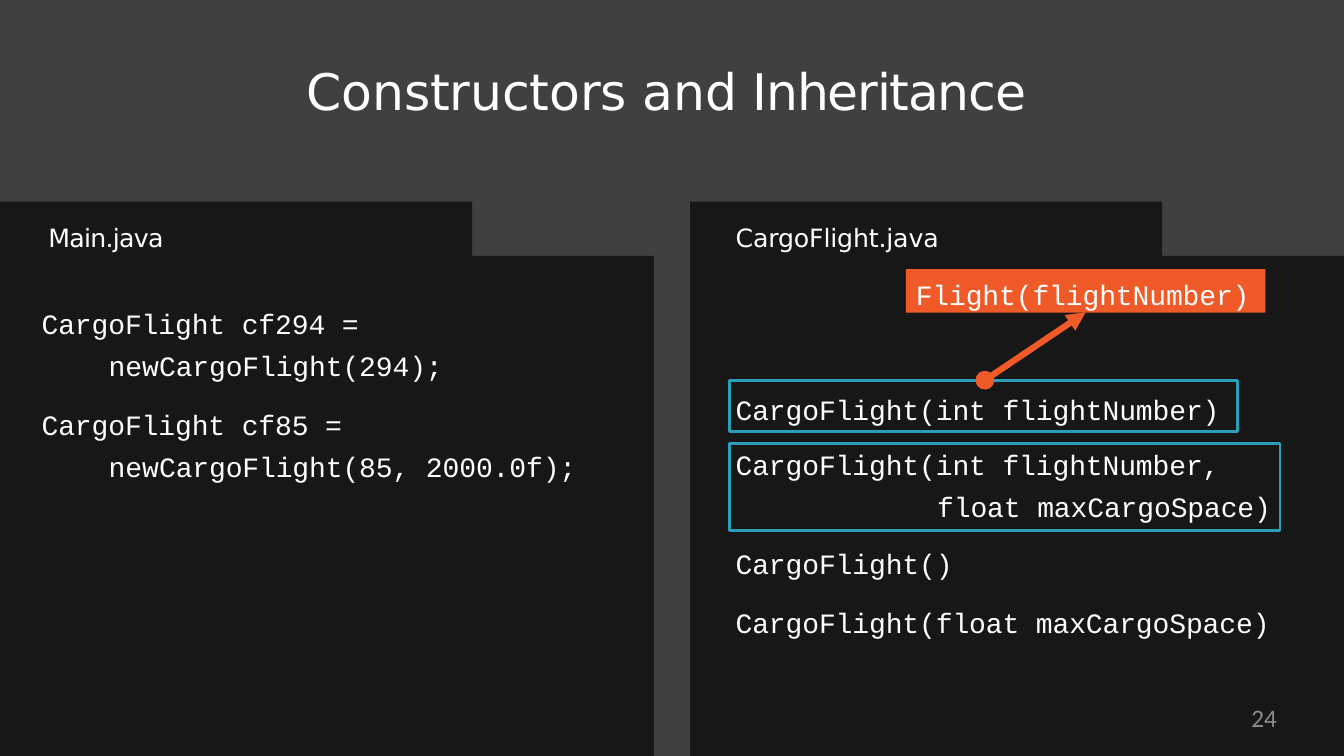
import pptx
import pptx.util
import pptx.dml.color
import pptx.enum.shapes
import pptx.enum.text
from lxml import etree
from pptx.oxml.ns import qn

Cm, Pt = pptx.util.Cm, pptx.util.Pt
SHAPES = pptx.enum.shapes
ALIGN = pptx.enum.text.PP_ALIGN

SANS, MONO = "DejaVu Sans", "Courier New"
WHITE, DARK, GREY = "FFFFFF", "171717", "404040"
TEAL, ORANGE, PALE = "2A9FBC", "F05A28", "8C8C8C"


def paint(fmt, color):
    """Give a fill, line fill or font a solid colour."""
    fmt.solid()
    fmt.fore_color.rgb = pptx.dml.color.RGBColor.from_string(color)


def style(run, font, size, color=WHITE, track=-10):
    run.font.name = font
    run.font.size = Pt(size)
    paint(run.font.fill, color)
    run.font._element.set("spc", str(track))


def setup(frame, left=0, top=0, wrap=True):
    frame.word_wrap = wrap
    frame.auto_size = pptx.enum.text.MSO_AUTO_SIZE.NONE
    frame.vertical_anchor = pptx.enum.text.MSO_ANCHOR.TOP
    frame.margin_left, frame.margin_top = Cm(left), Cm(top)
    frame.margin_right = frame.margin_bottom = 0


def write_code(frame, rows):
    """Fill a frame with rows of (text, indent, gap before)."""
    for i, (text, indent, gap) in enumerate(rows):
        para = frame.add_paragraph() if i else frame.paragraphs[0]
        para.text = text
        para.alignment = ALIGN.LEFT
        props = para._p.get_or_add_pPr()
        props.set("marL", str(Cm(indent)))
        props.set("indent", "0")
        para.space_before = Pt(gap)
        if "\t" in text:
            tabs = etree.SubElement(props, qn("a:tabLst"))
            etree.SubElement(tabs, qn("a:tab"), pos=str(Cm(3.43)), algn="l")
        for run in para.runs:
            style(run, MONO, 20)


def add_title(slide):
    title = slide.shapes.title
    title.left, title.top = Cm(7.73), Cm(1.45)
    title.width, title.height = Cm(18.2), Cm(1.6)
    setup(title.text_frame, top=0.06)
    para = title.text_frame.paragraphs[0]
    para.alignment = ALIGN.LEFT
    for text, track in (("Constructors and ", -10), ("Inheritance", -90)):
        run = para.add_run()
        run.text = text
        style(run, SANS, 36, track=track)


def add_panel(slide, left):
    """Draw a file card with a tab at its upper left."""
    width, tab, top, body, foot = 16.48, 11.9, 5.08, 6.45, 19.05
    pen = slide.shapes.build_freeform(Cm(left), Cm(top))
    pen.add_line_segments([(Cm(left + x), Cm(y)) for x, y in (
        (tab, top), (tab, body), (width, body), (width, foot), (0, foot))])
    panel = pen.convert_to_shape()
    panel.shadow.inherit = False
    paint(panel.fill, DARK)
    panel.line.fill.background()


def add_text(slide, box):
    shape = slide.shapes.add_textbox(*map(Cm, box))
    setup(shape.text_frame)
    return shape.text_frame


def add_label(slide, box, text, font, color=WHITE, align=ALIGN.LEFT, track=0):
    para = add_text(slide, box).paragraphs[0]
    para.text = text
    para.alignment = align
    style(para.runs[0], font, 18, color, track)


def add_box(slide, box, rows, left, top, fill=None, line=None):
    shape = slide.shapes.add_shape(
        SHAPES.MSO_SHAPE.RECTANGLE, *map(Cm, box))
    shape.shadow.inherit = False
    if fill:
        paint(shape.fill, fill)
    else:
        shape.fill.background()
    if line:
        paint(shape.line.fill, line)
        shape.line.width = Pt(2)
    else:
        shape.line.fill.background()
    setup(shape.text_frame, left, top, wrap=False)
    write_code(shape.text_frame, rows)


def add_arrow(slide, *ends):
    arrow = slide.shapes.add_connector(
        SHAPES.MSO_CONNECTOR.STRAIGHT, *map(Cm, ends))
    paint(arrow.line.fill, ORANGE)
    arrow.line.width = Pt(4.5)
    line = arrow.line._get_or_add_ln()
    etree.SubElement(line, qn("a:headEnd"), type="oval")
    etree.SubElement(line, qn("a:tailEnd"), type="triangle")
    etree.SubElement(arrow._element.spPr, qn("a:effectLst"))


def main():
    deck = pptx.Presentation()
    deck.slide_width, deck.slide_height = Cm(33.87), Cm(19.05)
    slide = deck.slides.add_slide(deck.slide_layouts[5])
    paint(slide.background.fill, GREY)
    add_title(slide)

    # File cards and their names
    add_panel(slide, 0)
    add_panel(slide, 17.39)
    add_label(slide, (1.22, 5.6, 9, 0.8), "Main.java", SANS, track=-50)
    add_label(slide, (18.54, 5.6, 9, 0.8), "CargoFlight.java", SANS, track=-10)

    # Calls in the main file
    write_code(add_text(slide, (1.02, 7.72, 14.05, 5.2)), [
        ("CargoFlight cf294 =", 0.03, 0),
        ("new\tCargoFlight(294);", 1.72, 6),
        ("CargoFlight cf85 =", 0.03, 18),
        ("new\tCargoFlight(85, 2000.0f);", 1.72, 6)])

    # Constructors of the class
    add_box(slide, (18.39, 9.58, 12.8, 1.3),
            [("CargoFlight(int flightNumber)", 0, 0)],
            0.15, 0.3, line=TEAL)
    add_box(slide, (18.39, 11.18, 13.87, 2.18),
            [("CargoFlight(int flightNumber,", 0, 0),
             ("float maxCargoSpace)", 5.08, 6)],
            0.15, 0.1, DARK, TEAL)
    write_code(add_text(slide, (18.54, 13.77, 13.8, 2.3)), [
        ("CargoFlight()", 0, 0),
        ("CargoFlight(float maxCargoSpace)", 0, 18)])

    # Call to the base constructor
    add_box(slide, (22.83, 6.78, 9.06, 1.1),
            [("Flight(flightNumber)", 0, 0)], 0.25, 0.22, ORANGE)
    add_arrow(slide, 24.82, 9.58, 27.36, 7.87)

    # Page number
    add_label(slide, (24.38, 17.7, 7.8, 0.97), "24", "Calibri", PALE,
              ALIGN.RIGHT)
    deck.save("out.pptx")


if __name__ == "__main__":
    main()
